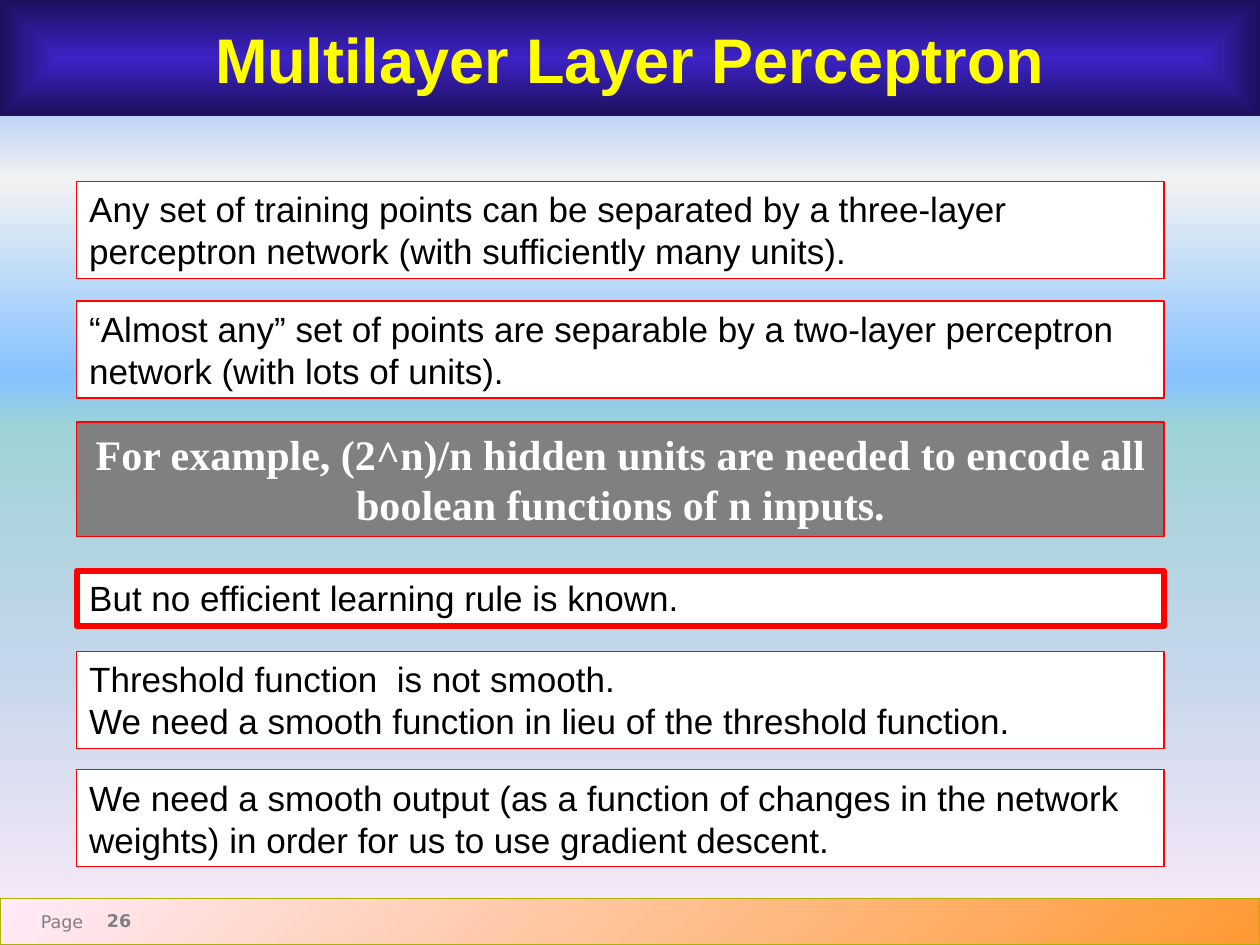
from dataclasses import dataclass

from lxml.etree import SubElement
from pptx import Presentation
from pptx.dml.color import RGBColor
from pptx.enum.shapes import MSO_SHAPE
from pptx.enum.text import MSO_ANCHOR, MSO_AUTO_SIZE, PP_ALIGN
from pptx.oxml.ns import qn
from pptx.util import Inches, Pt


@dataclass(frozen=True)
class Theme:
    sky: tuple = ((0, "5E9EFF"), (19, "F2F2F2"), (40, "85C2FF"),
                  (45, "9ED3D7"), (70, "C4D6EB"), (100, "FFEBFA"))
    footer: tuple = ((0, "FFEBFA"), (100, "FF9933"))
    banner: tuple = ((0, "3D22C6"), (100, "1C105C"))
    footer_line: str = "ABB202"
    yellow: str = "FFFF00"
    white: str = "FFFFFF"
    black: str = "000000"
    gray: str = "808080"
    red: str = "FF0000"
    title_size: int = 36
    example_size: int = 24
    body_size: int = 20
    page_size: int = 10


theme = Theme()


def apply_gradient(fill, element, stops, angle=None):
    """Fill with the stops, along an angle or outwards from the centre."""
    fill.gradient()
    gradient = next(element.iter(qn("a:gradFill")))
    for child in list(gradient):
        gradient.remove(child)
    stop_list = SubElement(gradient, qn("a:gsLst"))
    for position, color in stops:
        stop = SubElement(stop_list, qn("a:gs"), pos=str(position * 1000))
        SubElement(stop, qn("a:srgbClr"), val=color)
    if angle is None:
        path = SubElement(gradient, qn("a:path"), path="rect")
        SubElement(path, qn("a:fillToRect"), l="50000", t="50000", r="50000", b="50000")
    else:
        SubElement(gradient, qn("a:lin"), ang=str(angle * 60000), scaled="0")


def write_text(shape, lines, alignment, font_format, frame_format):
    """Write one paragraph per line and apply the format values."""
    frame = shape.text_frame
    for name, value in frame_format.items():
        setattr(frame, name, value)
    frame.text = "\n".join(lines)
    for paragraph in frame.paragraphs:
        paragraph.alignment = alignment
        font = paragraph.runs[0].font
        for name, value in font_format.items():
            if name == "color":
                font.color.rgb = RGBColor.from_string(value)
            else:
                setattr(font, name, value)


presentation = Presentation()
presentation.slide_width = Inches(10)
presentation.slide_height = Inches(7.5)
slide = presentation.slides.add_slide(presentation.slide_layouts[6])

# Background
apply_gradient(slide.background.fill, slide.element, theme.sky, 90)

# Footer bar
footer = slide.shapes.add_shape(
    MSO_SHAPE.RECTANGLE, Inches(0), Inches(7.13), Inches(10), Inches(0.37))
footer.shadow.inherit = False
apply_gradient(footer.fill, footer.element, theme.footer, 45)
footer.line.color.rgb = RGBColor.from_string(theme.footer_line)
footer.line.width = Pt(0.75)

# Page label and number
page_frame = {"margin_left": 0, "margin_right": 0, "margin_top": 0, "margin_bottom": 0}
page_font = {"name": "DejaVu Sans", "size": Pt(theme.page_size), "color": theme.gray}
for text, left, top, width, height, alignment, bold in (
    ("Page", 0.27, 7.23, 0.39, 0.17, PP_ALIGN.RIGHT, False),
    ("26", 0.78, 7.22, 0.33, 0.23, PP_ALIGN.CENTER, True),
):
    label = slide.shapes.add_textbox(Inches(left), Inches(top), Inches(width), Inches(height))
    write_text(label, [text], alignment, {**page_font, "bold": bold},
               {**page_frame, "word_wrap": bold})

# Title banner
banner = slide.shapes.add_shape(
    MSO_SHAPE.RECTANGLE, Inches(0), Inches(0), Inches(10), Inches(0.92))
banner.shadow.inherit = False
apply_gradient(banner.fill, banner.element, theme.banner)
banner.line.fill.background()
write_text(
    banner, ["Multilayer Layer Perceptron"], PP_ALIGN.CENTER,
    {"name": "Arial", "size": Pt(theme.title_size), "bold": True, "color": theme.yellow},
    {"word_wrap": True, "vertical_anchor": MSO_ANCHOR.MIDDLE})

# Statement boxes: top, height, line width, fill, alignment, font, lines
body_font = {"name": "Arial", "size": Pt(theme.body_size), "color": theme.black}
example_font = {"name": "Times New Roman", "size": Pt(theme.example_size),
                "bold": True, "color": theme.white}
statement_frame = {"word_wrap": True, "vertical_anchor": MSO_ANCHOR.TOP,
                   "auto_size": MSO_AUTO_SIZE.SHAPE_TO_FIT_TEXT}
statements = (
    (1.44, 0.77, 0.75, theme.white, PP_ALIGN.LEFT, body_font,
     ["Any set of training points can be separated by a three-layer perceptron "
      "network (with sufficiently many units)."]),
    (2.39, 0.77, 0.75, theme.white, PP_ALIGN.LEFT, body_font,
     ["“Almost any” set of points are separable by a two-layer perceptron "
      "network (with lots of units)."]),
    (3.35, 0.91, 0.75, theme.gray, PP_ALIGN.CENTER, example_font,
     ["For example, (2^n)/n hidden units are needed to encode all boolean "
      "functions of n inputs."]),
    (4.53, 0.44, 3.25, theme.white, PP_ALIGN.LEFT, body_font,
     ["But no efficient learning rule is known."]),
    (5.17, 0.77, 0.75, theme.white, PP_ALIGN.LEFT, body_font,
     ["Threshold function  is not smooth.",
      "We need a smooth function in lieu of the threshold function."]),
    (6.11, 0.77, 0.75, theme.white, PP_ALIGN.LEFT, body_font,
     ["We need a smooth output (as a function of changes in the network weights) "
      "in order for us to use gradient descent."]),
)
for top, height, line_width, fill, alignment, font_format, lines in statements:
    box = slide.shapes.add_shape(
        MSO_SHAPE.RECTANGLE, Inches(0.61), Inches(top), Inches(8.63), Inches(height))
    box.shadow.inherit = False
    box.fill.solid()
    box.fill.fore_color.rgb = RGBColor.from_string(fill)
    box.line.color.rgb = RGBColor.from_string(theme.red)
    box.line.width = Pt(line_width)
    write_text(box, lines, alignment, font_format, statement_frame)

presentation.save("out.pptx")
